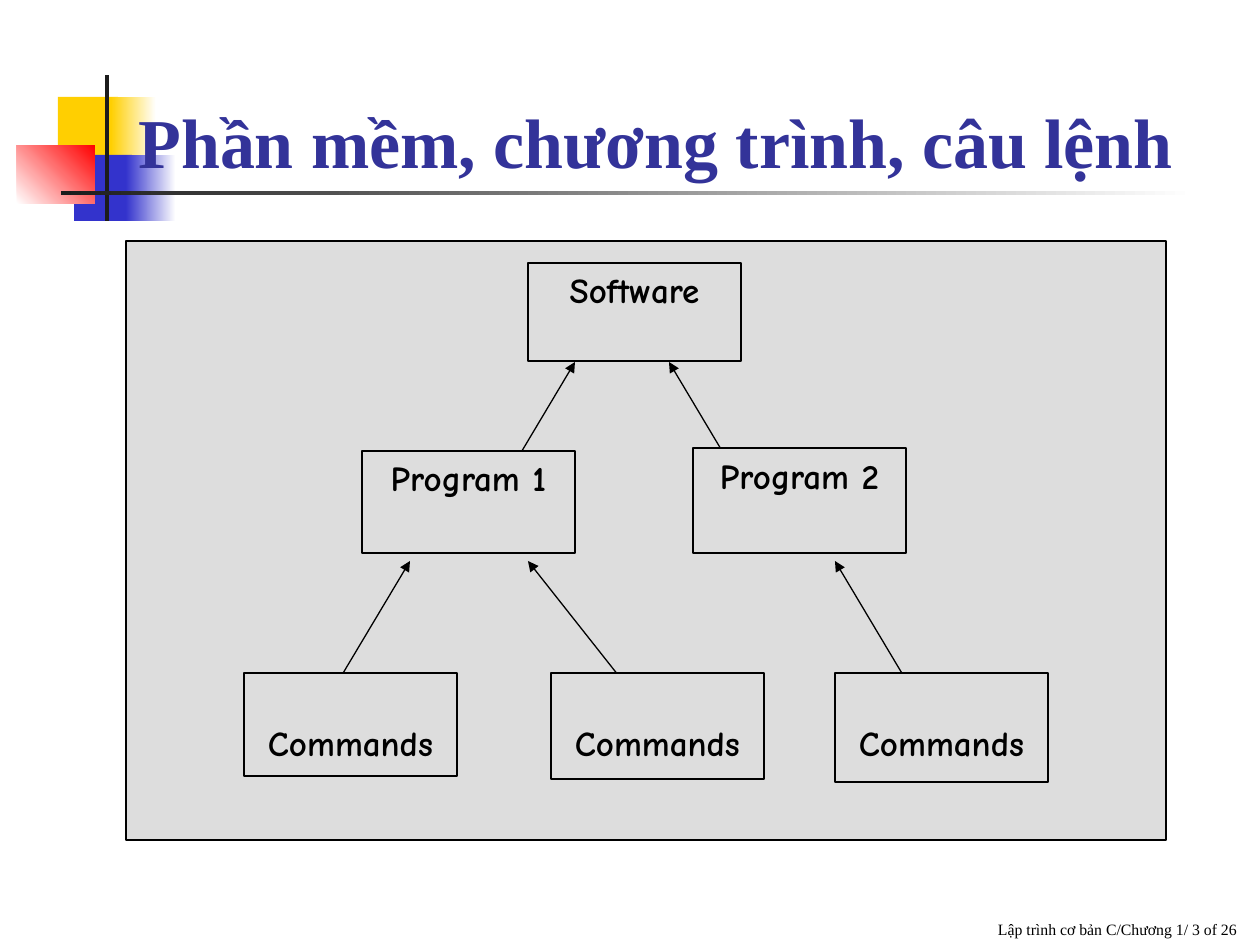
from pptx import Presentation
from pptx.dml.color import RGBColor
from pptx.enum.shapes import MSO_CONNECTOR, MSO_SHAPE
from pptx.enum.text import MSO_ANCHOR, PP_ALIGN
from pptx.oxml.ns import qn
from pptx.util import Emu, Pt
from lxml import etree

RECT = MSO_SHAPE.RECTANGLE
STRAIGHT = MSO_CONNECTOR.STRAIGHT
TOP, BOTTOM = MSO_ANCHOR.TOP, MSO_ANCHOR.BOTTOM
LEFT, CENTER, RIGHT = PP_ALIGN.LEFT, PP_ALIGN.CENTER, PP_ALIGN.RIGHT
BLACK = RGBColor(0x00, 0x00, 0x00)
WHITE = RGBColor(0xFF, 0xFF, 0xFF)
YELLOW = RGBColor(0xFF, 0xCF, 0x01)
BLUE = RGBColor(0x33, 0x33, 0xCC)
RED = RGBColor(0xFF, 0x00, 0x00)
DARK = RGBColor(0x1C, 0x1C, 0x1C)
NAVY = RGBColor(0x33, 0x33, 0x99)
GRAY = RGBColor(0xDD, 0xDD, 0xDD)
SERIF, COMIC = "Times New Roman", "Comic Neue"
PX = 914400 / 126

prs = Presentation()
prs.slide_width, prs.slide_height = Emu(round(1260 * PX)), Emu(round(945 * PX))
s = prs.slides.add_slide(prs.slide_layouts[6])


def emu(*lengths):
    return [Emu(round(n * PX)) for n in lengths]


def write(sp, text, size, font, color, bold=False, align=LEFT, anchor=TOP, top=6):
    tf = sp.text_frame
    tf.word_wrap = True
    tf.vertical_anchor = anchor
    tf.margin_top = emu(top)[0]
    p = tf.paragraphs[0]
    p.alignment = align
    r = p.add_run()
    r.text = text
    r.font.size = Pt(size)
    r.font.name = font
    r.font.bold = bold
    r.font.color.rgb = color


decorations = [
    ((58, 97, 60, 66), YELLOW, None, 0),
    ((111, 97, 45, 66), YELLOW, WHITE, 0),
    ((74, 155, 58, 66), BLUE, None, 0),
    ((126, 155, 50, 66), BLUE, WHITE, 0),
    ((17, 145, 78, 59), WHITE, RED, 45),
    ((105, 75, 4, 146), DARK, None, 0),
    ((61, 191, 1134, 4), DARK, WHITE, 0),
]
for box, start, end, angle in decorations:
    sp = s.shapes.add_shape(RECT, *emu(*box))
    sp.shadow.inherit = False
    sp.line.fill.background()
    if end is None:
        sp.fill.solid()
        sp.fill.fore_color.rgb = start
    else:
        sp.fill.gradient()
        sp.fill.gradient_angle = angle
        for stop, color in zip(sp.fill.gradient_stops, (start, end)):
            stop.color.rgb = color

footer = s.shapes.add_textbox(*emu(483, 882, 766, 63))
write(footer, "Lập trình cơ bản C/Chương 1/ 3 of 26", 9, SERIF, BLACK, align=RIGHT, anchor=BOTTOM)
title = s.shapes.add_textbox(*emu(126, 73, 1102, 116))
write(title, "Phần mềm, chương trình, câu lệnh", 40, SERIF, NAVY, bold=True, anchor=BOTTOM)

panel = s.shapes.add_shape(RECT, *emu(126, 241, 1040, 599))

arrows = [
    (339, 680, 410, 561),
    (622, 680, 528, 561),
    (906, 680, 835, 561),
    (504, 481, 575, 362),
    (740, 481, 669, 362),
]
for ends in arrows:
    arrow = s.shapes.add_connector(STRAIGHT, *emu(*ends))
    arrow.line.color.rgb = BLACK
    arrow.line.width = Pt(0.75)
    ln = arrow.line._get_or_add_ln()
    etree.SubElement(ln, qn("a:tailEnd"), type="triangle")
    etree.SubElement(arrow._element.spPr, qn("a:effectLst"))

nodes = [
    ("Software", 528, 263, 98, 6),
    ("Program 2", 693, 448, 105, 6),
    ("Program 1", 362, 451, 102, 6),
    ("Commands", 244, 673, 103, 48),
    ("Commands", 551, 673, 106, 48),
    ("Commands", 835, 673, 109, 48),
]
framed = [panel]
for text, x, y, h, top in nodes:
    sp = s.shapes.add_shape(RECT, *emu(x, y, 213, h))
    write(sp, text, 20, COMIC, BLACK, bold=True, align=CENTER, top=top)
    framed.append(sp)

for sp in framed:
    sp.shadow.inherit = False
    sp.fill.solid()
    sp.fill.fore_color.rgb = GRAY
    sp.line.color.rgb = BLACK
    sp.line.width = Pt(0.75)

prs.save("out.pptx")
